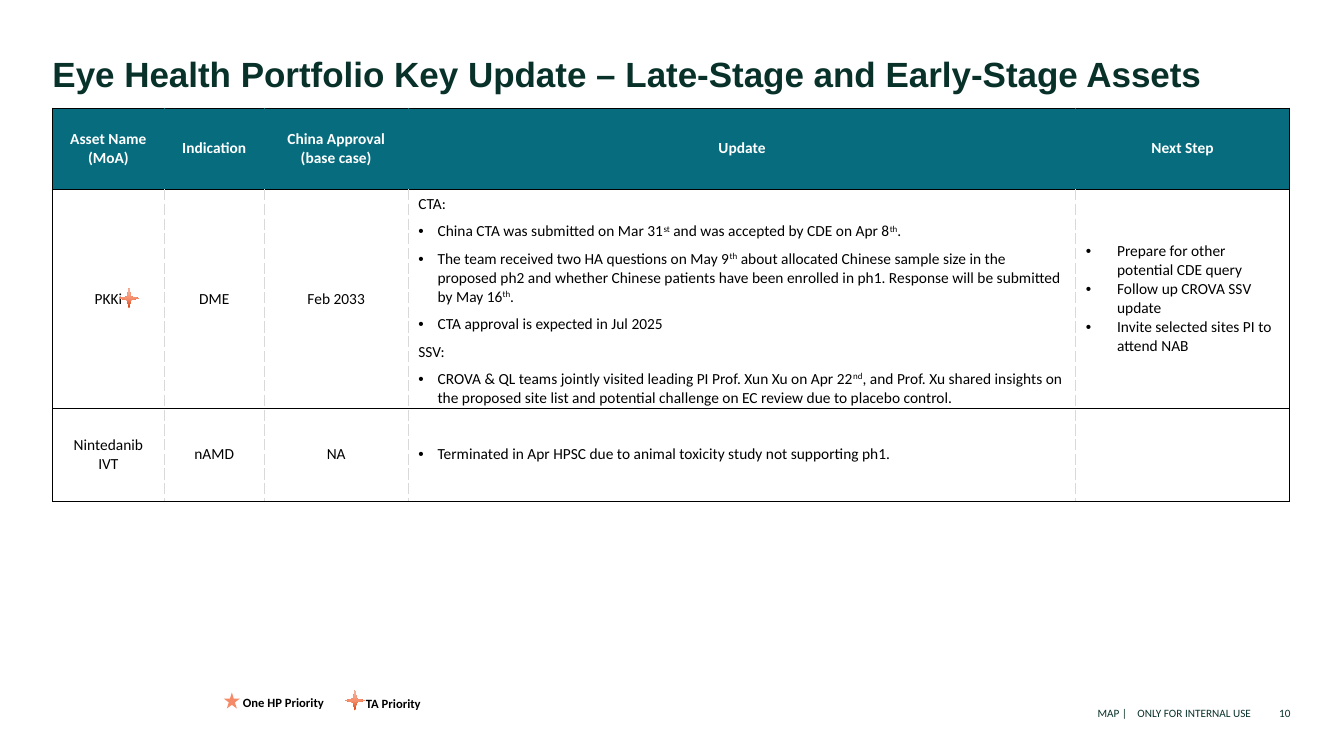
import copy

import lxml.etree
import pptx
import pptx.dml.color
import pptx.enum.shapes
import pptx.enum.text
import pptx.oxml.ns
import pptx.util

PX = 9144  # 100 px to the inch
COLORS = {
    "teal": "076D7E", "title": "08312A", "black": "000000", "white": "FFFFFF",
    "divider": "D9D9D9", "coral": "F58A68",
    "flame": "DB400F", "salmon": "F58E6D", "blush": "F9B9A4",
}
ALIGN = pptx.enum.text.PP_ALIGN
ANCHOR = pptx.enum.text.MSO_ANCHOR
SHAPE = pptx.enum.shapes.MSO_SHAPE
qn = pptx.oxml.ns.qn

COLUMNS = [111, 99, 143, 662, 212]
ROWS = [81, 193, 92]
HEADERS = ["Asset Name (MoA)", "Indication", "China Approval\n(base case)", "Update", "Next Step"]
# "• " opens a bullet; text between ^ marks is superscript.
ASSETS = [
    ["PKKi", "DME", "Feb 2033",
     "CTA:\n"
     "• China CTA was submitted on Mar 31^st^ and was accepted by CDE on Apr 8^th^.\n"
     "• The team received two HA questions on May 9^th^ about allocated Chinese sample size "
     "in the proposed ph2 and whether Chinese patients have been enrolled in ph1. "
     "Response will be submitted by May 16^th^.\n"
     "• CTA approval is expected in Jul 2025\n"
     "SSV:\n"
     "• CROVA & QL teams jointly visited leading PI Prof. Xun Xu on Apr 22^nd^, and Prof. Xu "
     "shared insights on the proposed site list and potential challenge on EC review "
     "due to placebo control.",
     "• Prepare for other potential CDE query\n"
     "• Follow up CROVA SSV update\n"
     "• Invite selected sites PI to attend NAB"],
    ["Nintedanib IVT", "nAMD", "NA",
     "• Terminated in Apr HPSC due to animal toxicity study not supporting ph1.", ""],
]


def rgb(name):
    return pptx.dml.color.RGBColor.from_string(COLORS[name])


class SlideBuilder:
    def __init__(self, slide, font="Calibri"):
        self.slide = slide
        self.font = font

    def style(self, paragraph, size, color, bold=False, align=ALIGN.LEFT, font=None):
        paragraph.alignment = align
        paragraph.font.name = font or self.font
        paragraph.font.size = pptx.util.Pt(size)
        paragraph.font.bold = bold
        paragraph.font.color.rgb = rgb(color)

    def text(self, box, content, size, color, anchor=ANCHOR.TOP, wrap=True, line_spacing=None, **style):
        textbox = self.slide.shapes.add_textbox(*(n * PX for n in box))
        frame = textbox.text_frame
        frame.margin_left = frame.margin_top = frame.margin_right = frame.margin_bottom = 0
        frame.word_wrap = wrap
        frame.vertical_anchor = anchor
        if not wrap:
            frame.auto_size = pptx.enum.text.MSO_AUTO_SIZE.SHAPE_TO_FIT_TEXT
        paragraph = frame.paragraphs[0]
        paragraph.add_run().text = content
        if line_spacing:
            paragraph.line_spacing = line_spacing
        self.style(paragraph, size, color, **style)
        return paragraph

    def star(self, kind, left, top, size, colors):
        """Draw a star; several colours make an upward gradient."""
        shape = self.slide.shapes.add_shape(kind, left * PX, top * PX, size * PX, size * PX)
        shape.shadow.inherit = False
        shape.line.fill.background()
        if len(colors) == 1:
            shape.fill.solid()
            shape.fill.fore_color.rgb = rgb(colors[0])
            return
        shape.fill.gradient()
        shape.fill.gradient_angle = 90
        stops = shape._element.spPr.find(".//" + qn("a:gsLst"))
        stops.insert(1, copy.deepcopy(stops[0]))
        for stop, color, position in zip(shape.fill.gradient_stops, colors, (0, 0.48, 1)):
            stop.color.rgb = rgb(color)
            stop.position = position

    def bullet(self, paragraph, indent):
        properties = paragraph._p.get_or_add_pPr()
        properties.set("marL", str(indent * PX))
        properties.set("indent", str(-indent * PX))
        font = lxml.etree.SubElement(properties, qn("a:buFont"))
        font.set("typeface", "Arial")
        lxml.etree.SubElement(properties, qn("a:buChar")).set("char", "•")

    def borders(self, cell, sides):
        """Set left, right, top and bottom lines, each (colour, points, dash)."""
        properties = cell._tc.get_or_add_tcPr()
        for index, (side, (color, width, dash)) in enumerate(zip("LRTB", sides)):
            line = lxml.etree.Element(qn("a:ln" + side), w=str(int(pptx.util.Pt(width))))
            fill = lxml.etree.SubElement(line, qn("a:solidFill"))
            lxml.etree.SubElement(fill, qn("a:srgbClr")).set("val", COLORS[color])
            lxml.etree.SubElement(line, qn("a:prstDash")).set("val", dash)
            properties.insert(index, line)

    def cell(self, cell, content, header, align, indent, space_after):
        cell.vertical_anchor = ANCHOR.MIDDLE
        if header:
            cell.fill.solid()
            cell.fill.fore_color.rgb = rgb("teal")
        else:
            cell.fill.background()
        frame = cell.text_frame
        for index, line in enumerate(content.split("\n")):
            paragraph = frame.add_paragraph() if index else frame.paragraphs[0]
            paragraph.space_after = pptx.util.Pt(space_after)
            if line.startswith("• "):
                self.bullet(paragraph, indent)
                line = line[2:]
            for part, words in enumerate(line.split("^")):
                run = paragraph.add_run()
                run.text = words
                if part % 2:
                    run.font._element.set("baseline", "30000")
            self.style(paragraph, 11, "white" if header else "black", header, align)

    def table(self, left, top, columns, rows, content):
        frame = self.slide.shapes.add_table(
            len(rows), len(columns), left * PX, top * PX, sum(columns) * PX, sum(rows) * PX)
        table = frame.table
        table.first_row = table.horz_banding = False
        for column, width in zip(table.columns, columns):
            column.width = width * PX
        for row, height in zip(table.rows, rows):
            row.height = height * PX
        outer = ("black", 0.5, "solid")
        last = len(columns) - 1
        for r, texts in enumerate(content):
            header = r == 0
            inner = ("teal", 0.5, "solid") if header else ("divider", 1, "dash")
            for c, words in enumerate(texts):
                cell = table.cell(r, c)
                centred = header or c < 3
                self.cell(cell, words, header,
                          ALIGN.CENTER if centred else ALIGN.LEFT,
                          indent=31 if c == last else 19,
                          space_after=6 if c == 3 and not header else 0)
                self.borders(cell, [outer if c == 0 else inner,
                                    outer if c == last else inner, outer, outer])


def main():
    presentation = pptx.Presentation()
    presentation.slide_width = 1333 * PX
    presentation.slide_height = 750 * PX
    builder = SlideBuilder(presentation.slides.add_slide(presentation.slide_layouts[6]))
    priority = ["flame", "salmon", "blush"]

    builder.text((52, 52, 1228, 79),
                 "Eye Health Portfolio Key Update – Late-Stage and Early-Stage Assets",
                 25, "title", bold=True, font="Arial")
    footer = builder.text((690, 683, 551, 31), "MAP |", 8, "title",
                          anchor=ANCHOR.BOTTOM, align=ALIGN.RIGHT)
    gap = footer.add_run()
    gap.text = " "
    gap.font._element.set("spc", "540")
    footer.add_run().text = "ONLY FOR INTERNAL USE"
    builder.text((1249, 683, 31, 31), "10", 8, "title", anchor=ANCHOR.BOTTOM, align=ALIGN.RIGHT)

    builder.star(SHAPE.STAR_5_POINT, 222, 687, 16, ["coral"])
    builder.star(SHAPE.STAR_4_POINT, 342, 685, 20, priority)
    for box, label in [((241, 683, 94, 19), "One HP Priority"), ((363, 684, 65, 19), "TA Priority")]:
        builder.text(box, label, 9, "black", wrap=False, line_spacing=1.4, bold=True)

    builder.table(52, 107, COLUMNS, ROWS, [HEADERS] + ASSETS)
    builder.star(SHAPE.STAR_4_POINT, 118, 286, 20, priority)
    presentation.save("out.pptx")


if __name__ == "__main__":
    main()
